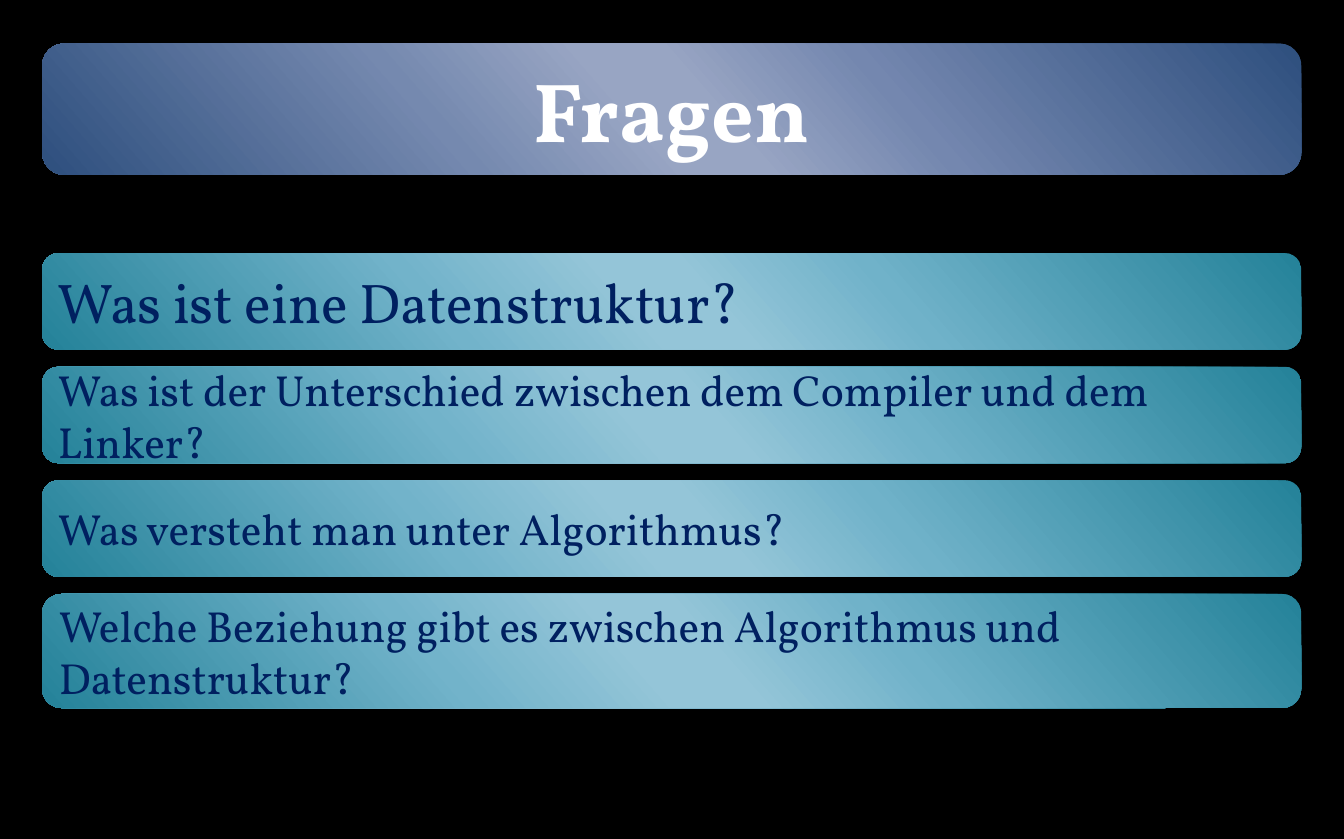
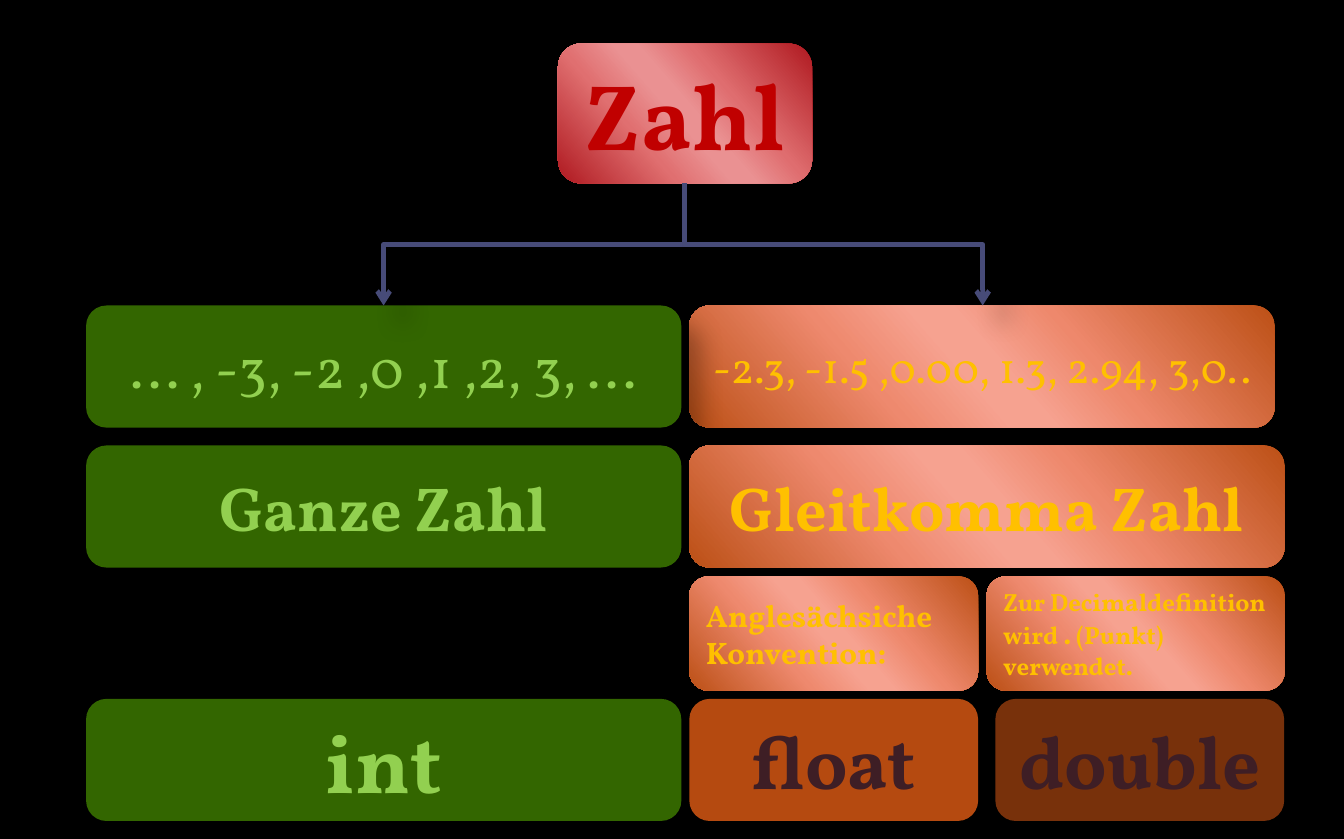
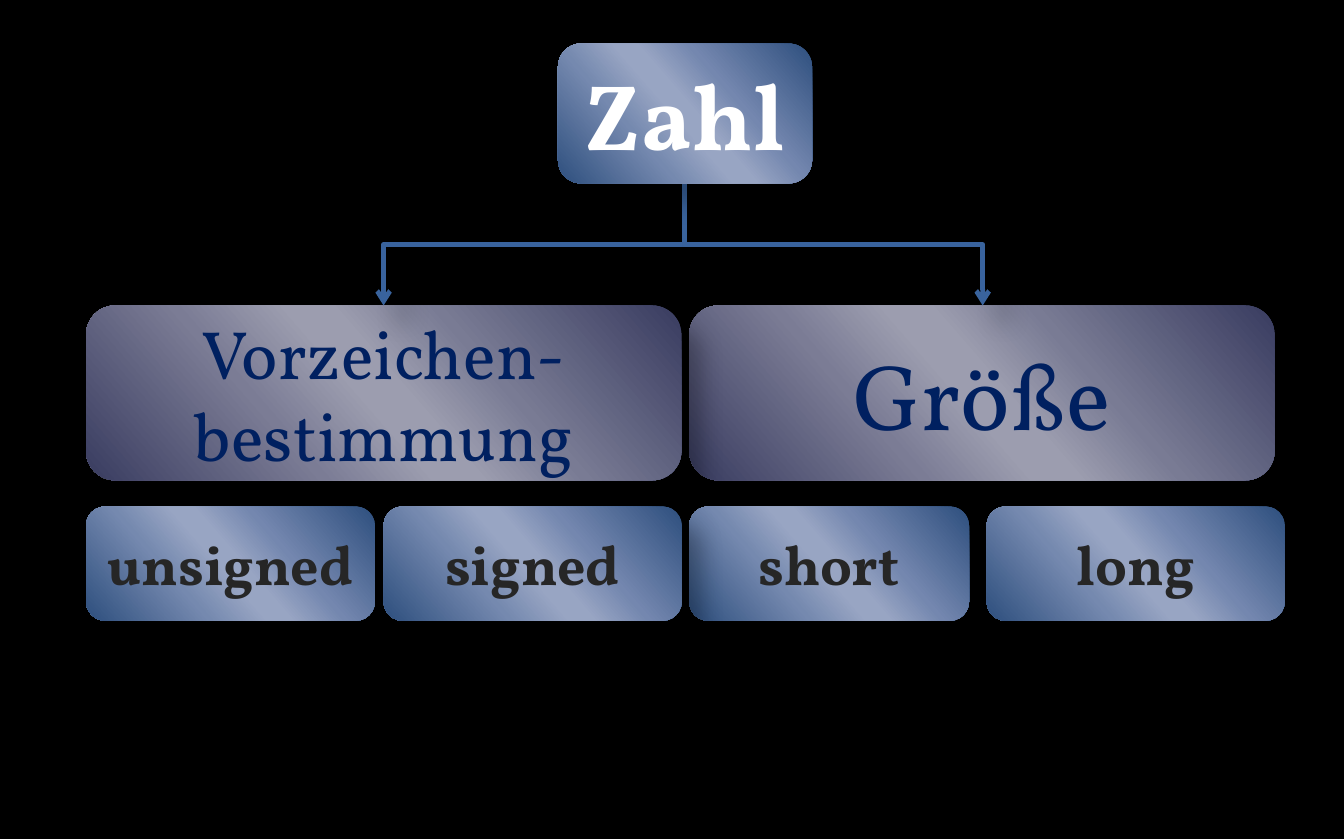
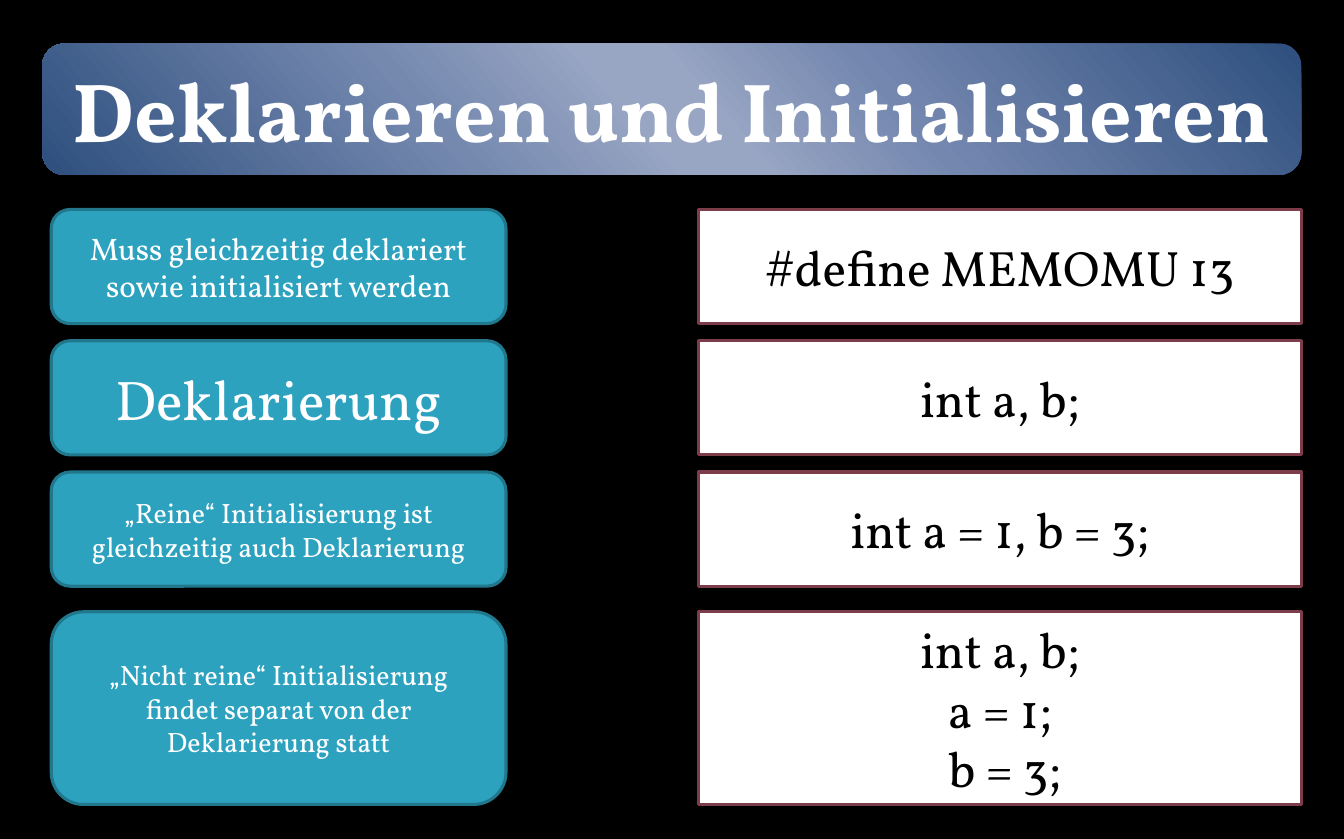
from lxml.etree import SubElement as Sub
from pptx import Presentation
from pptx.dml.color import RGBColor as RGB
from pptx.enum.shapes import MSO_CONNECTOR as CONN, MSO_SHAPE as SHAPE
from pptx.enum.text import MSO_ANCHOR as ANCHOR, PP_ALIGN as ALIGN
from pptx.oxml.ns import qn
from pptx.util import Pt

FONT = "Vollkorn"
INK = {
    "black": "000000", "white": "FFFFFF", "navy": "002060", "gray": "262626",
    "red": "C00000", "gold": "FFC000", "lime": "92D050", "wine": "3E1E25",
    "green": "336600", "rust": "B54A10", "brown": "78310B",
    "cyan": "2DA2BF", "teal": "21788D", "plum": "7D3C4A",
    "violet": "474B78", "steel": "39639D",
}
# Gradients: edge, first slope, middle, second slope
GRAD = {
    "blue": ("2E4F7E", "7487AF", "98A5C3", "7589AF"),
    "aqua": ("248299", "70B2C9", "94C5D8", "72B3CA"),
    "rose": ("AF1920", "DF6D6F", "EA9192", "E06F70"),
    "coral": ("BC5016", "EE886C", "F6A290", "EE896E"),
    "slate": ("393C60", "797B94", "9C9DAF", "7B7C95"),
}
STOPS = ((0, 0), (33, 1), (47, 2), (53, 2), (68, 3), (100, 0))  # percent, colour


def rgb(name):
    return RGB.from_string(INK[name])


class Deck:
    def __init__(self):
        self.prs = Presentation()
        self.prs.slide_width, self.prs.slide_height = Pt(864.7), Pt(540)
        back = self.prs.slide_master.background.fill
        back.solid()
        back.fore_color.rgb = rgb("black")

    def page(self):
        self.slide = self.prs.slides.add_slide(self.prs.slide_layouts[6])

    def paint(self, shape, fill):
        if fill in INK:
            shape.fill.solid()
            shape.fill.fore_color.rgb = rgb(fill)
            return
        shape.fill.gradient()
        shape.fill.gradient_angle = 221
        stops = shape.element.spPr.find(".//" + qn("a:gsLst"))
        for old in list(stops):
            stops.remove(old)
        for pos, tone in STOPS:
            stop = Sub(stops, qn("a:gs"), pos=str(pos * 1000))
            Sub(stop, qn("a:srgbClr"), val=GRAD[fill][tone])

    def shade(self, effects):
        drop = Sub(effects, qn("a:outerShdw"), blurRad=str(Pt(15)),
                   dist=str(Pt(18)), dir="2700000", rotWithShape="0")
        tint = Sub(drop, qn("a:srgbClr"), val=INK["black"])
        Sub(tint, qn("a:alpha"), val="26000")

    def box(self, at, text, size, ink, fill, bold=False, align=ALIGN.CENTER,
            kind=SHAPE.ROUNDED_RECTANGLE, edge=None):
        """Draw a filled box; text is one string, or (text, size) runs."""
        shape = self.slide.shapes.add_shape(kind, *map(Pt, at))
        self.paint(shape, fill)
        shape.shadow.inherit = False
        if edge:
            shape.line.color.rgb = rgb(edge)
            shape.line.width = Pt(2)
        else:
            shape.line.fill.background()
            self.shade(shape.element.spPr.find(qn("a:effectLst")))
        frame = shape.text_frame
        frame.word_wrap = True
        frame.vertical_anchor = ANCHOR.MIDDLE
        if isinstance(text, str):
            frame.text = text
        else:
            for part, points in text:
                run = frame.paragraphs[0].add_run()
                run.text = part
                run.font.size = Pt(points)
        for para in frame.paragraphs:
            para.alignment = align
            font = para.font
            font.name, font.size, font.bold = FONT, Pt(size), bold
            font.color.rgb = rgb(ink)

    def title(self, text):
        self.box((27.2, 28, 810, 84.5), text, 54, "white", "blue", True)

    def root(self, ink, fill):
        self.box((359, 28, 163.5, 90), "Zahl", 60, ink, fill, True)

    def arrow(self, start, end, ink):
        """Draw an elbow that leaves downwards: a turned connector."""
        (x1, y1), (x2, y2) = start, end
        midx, midy = (x1 + x2) / 2, (y1 + y2) / 2
        half, rise = (y2 - y1) / 2, abs(x2 - x1) / 2
        line = self.slide.shapes.add_connector(
            CONN.ELBOW, Pt(midx - half), Pt(midy - rise),
            Pt(midx + half), Pt(midy + rise))
        line.line.color.rgb = rgb(ink)
        line.line.width = Pt(3)
        props = line.element.spPr
        frame = props.find(qn("a:xfrm"))
        frame.set("rot", str((90 if x2 < x1 else 270) * 60000))
        if x2 > x1:
            frame.set("flipH", "1")
        Sub(props.find(qn("a:ln")), qn("a:tailEnd"), type="arrow")
        self.shade(Sub(props, qn("a:effectLst")))

    def fork(self, ink):
        for x in (246.8, 632.2):
            self.arrow((440.6, 118), (x, 196.6), ink)


def ask(deck):
    deck.page()
    deck.title("Fragen")
    rows = (
        ("Was ist eine Datenstruktur?", 36, 62),
        ("Was ist der Unterschied zwischen dem Compiler und dem Linker?", 28, 62),
        ("Was versteht man unter Algorithmus?", 28, 62),
        ("Welche Beziehung gibt es zwischen Algorithmus und Datenstruktur?", 28, 73.4),
    )
    for i, (text, size, high) in enumerate(rows):
        deck.box((27.2, 163 + 73.1 * i, 810, high), text, size,
                 "navy", "aqua", align=ALIGN.LEFT)


# Columns shared by the two trees
LEFT, RIGHT, LAST = 55.4, 443.5, 634.8
WIDE, SLIM, HALF, QUART = 383, 376.6, 185.8, 191.8
HIGH, LOW = 78.6, 73.5


def types(deck):
    deck.page()
    deck.root("red", "rose")
    # Examples and names
    deck.box((RIGHT, 196.6, SLIM, HIGH), "-2.3, -1.5 ,0.00, 1.3, 2.94, 3,0..",
             28, "gold", "coral")
    deck.box((LEFT, 196.6, WIDE, HIGH), "... , -3, -2 ,0 ,1 ,2, 3, ...",
             36, "lime", "green")
    deck.box((LEFT, 286.7, WIDE, HIGH), "Ganze Zahl", 40, "lime", "green", True)
    deck.box((RIGHT, 286.7, WIDE, HIGH), "Gleitkomma Zahl", 40, "gold", "coral", True)
    deck.fork("violet")
    # Notation
    deck.box((RIGHT, 371, HALF, LOW), "Anglesächsiche Konvention:",
             20, "gold", "coral", True, ALIGN.LEFT)
    note = (("Zur Decimaldefinition wird ", 16), (".", 18), (" (Punkt) verwendet.", 16))
    deck.box((LAST, 371, QUART, LOW), note, 16, "gold", "coral", True, ALIGN.LEFT)
    # Keywords
    for x, wide, word, size, ink, fill in (
            (LEFT, WIDE, "int", 54, "lime", "green"),
            (RIGHT, HALF, "float", 48, "wine", "rust"),
            (640.4, HALF, "double", 48, "wine", "brown")):
        deck.box((x, 449.8, wide, HIGH), word, size, ink, fill, True)


def traits(deck):
    deck.page()
    deck.box((RIGHT, 196.6, SLIM, 112.5), "Größe", 60, "navy", "slate")
    deck.box((LEFT, 196.6, WIDE, 112.5), "Vorzeichen-\nbestimmung", 44, "navy", "slate")
    deck.fork("steel")
    for x, wide, word in ((RIGHT, 180, "short"), (LAST, QUART, "long"),
                          (LEFT, HALF, "unsigned"), (246.8, QUART, "signed")):
        deck.box((x, 326, wide, LOW), word, 36, "gray", "blue", True)
    deck.root("white", "blue")


def declare(deck):
    deck.page()
    deck.title("Deklarieren und Initialisieren")
    rows = (
        (134.8, LOW, "Muss gleichzeitig deklariert sowie initialisiert werden", 20,
         "#define MEMOMU 13"),
        (219.3, LOW, "Deklarierung", 36, "int a, b;"),
        (303.8, LOW, "„Reine“ Initialisierung ist gleichzeitig auch Deklarierung", 18,
         "int a = 1, b = 3;"),
        (393.8, 124, "„Nicht reine“ Initialisierung findet separat von der "
         "Deklarierung statt", 18, "int a, b;\na = 1;\n b = 3;"),
    )
    for y, high, text, size, code in rows:
        deck.box((449.4, y, 388, high), code, 32, "black", "white",
                 kind=SHAPE.RECTANGLE, edge="plum")
        deck.box((33, y, 292.6, high), text, size, "white", "cyan", edge="teal")


def main():
    deck = Deck()
    for draw in (ask, types, traits, declare):
        draw(deck)
    deck.prs.save("out.pptx")


if __name__ == "__main__":
    main()
